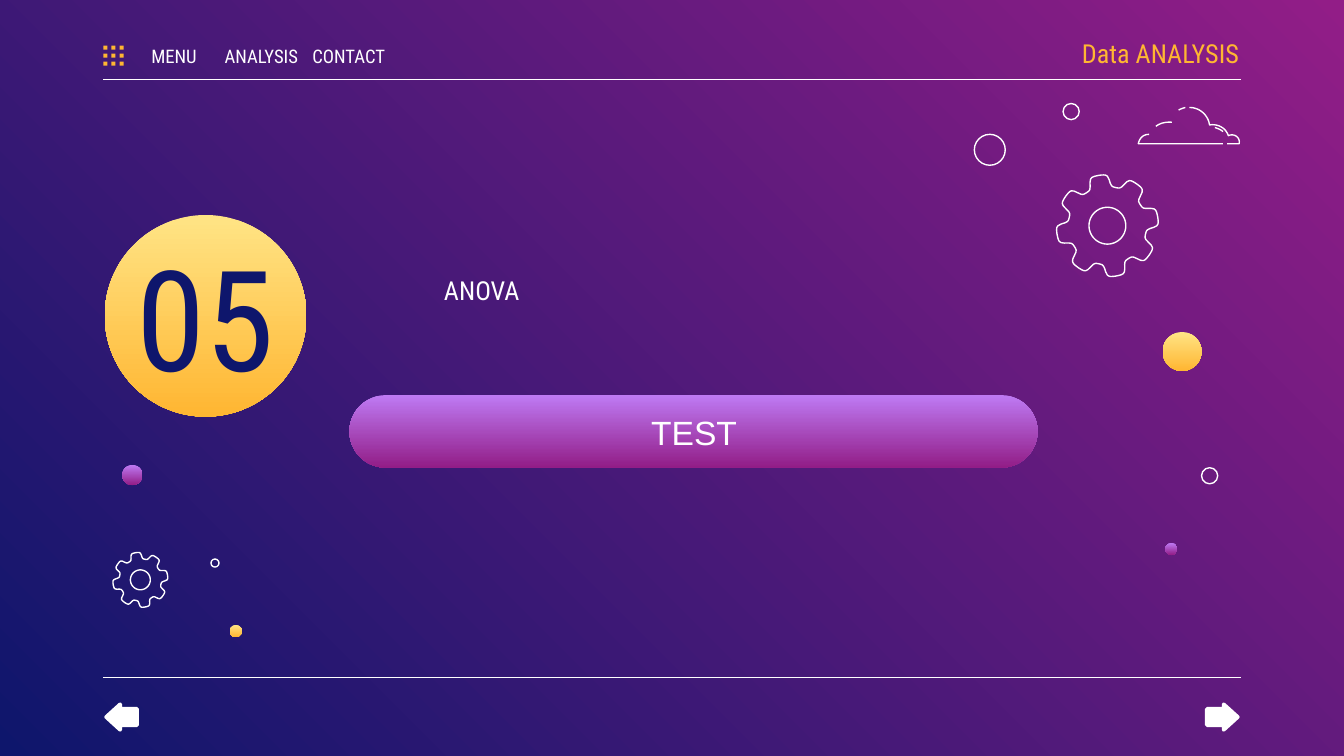
import math

from lxml import etree
from pptx import Presentation
from pptx import util as u
from pptx.dml.color import RGBColor
from pptx.enum import shapes, text
from pptx.oxml.ns import qn

COLORS = {
    "white": "FFFFFF", "navy": "0E166C", "magenta": "921D87",
    "lilac": "BE7AF3", "cream": "FFE485", "amber": "FFB632",
}
GOLD = ("cream", "amber")
PURPLE = ("lilac", "magenta")
FONT = "Roboto Condensed"
SHAPE = shapes.MSO_SHAPE
ALIGN = text.PP_ALIGN
MIDDLE = text.MSO_ANCHOR.MIDDLE


def rgb(name):
    return RGBColor.from_string(COLORS[name])


def gradient(fill, stops, angle):
    fill.gradient()
    fill.gradient_angle = angle
    for stop, name in zip(fill.gradient_stops, stops):
        stop.color.rgb = rgb(name)


def style(shape, fill=None, line=None, width=0.75):
    """Fill is a colour name, a pair of names for a downward gradient, or None."""
    shape.shadow.inherit = False
    if fill is None:
        shape.fill.background()
    elif isinstance(fill, tuple):
        gradient(shape.fill, fill, 270)
    else:
        shape.fill.solid()
        shape.fill.fore_color.rgb = rgb(fill)
    if line:
        shape.line.color.rgb = rgb(line)
        shape.line.width = u.Pt(width)
    else:
        shape.line.fill.background()


def add_preset(parent, kind, box, **look):
    shape = parent.shapes.add_shape(kind, *map(u.Inches, box))
    style(shape, **look)
    return shape


def add_rule(slide, x, y, width):
    rule = slide.shapes.add_connector(
        shapes.MSO_CONNECTOR.STRAIGHT, *map(u.Inches, (x, y, x + width, y)))
    rule.line.color.rgb = rgb("white")
    rule.line.width = u.Pt(0.75)
    etree.SubElement(rule.element.spPr, qn("a:effectLst"))


def add_label(slide, box, words, size, color="white", font=FONT,
              align=ALIGN.CENTER, anchor=MIDDLE, insets=(0.1, 0.1, 0.1, 0.1)):
    frame = slide.shapes.add_textbox(*map(u.Inches, box)).text_frame
    frame.word_wrap = True
    frame.vertical_anchor = anchor
    (frame.margin_left, frame.margin_top,
     frame.margin_right, frame.margin_bottom) = map(u.Inches, insets)
    paragraph = frame.paragraphs[0]
    paragraph.alignment = align
    run = paragraph.add_run()
    run.text = words
    run.font.size = u.Pt(size)
    run.font.name = font
    run.font.color.rgb = rgb(color)


def add_outline(parent, contours, close):
    """Draw contours, each a list of (x, y) in inches, as one white outline."""
    contours = [[(u.Inches(x), u.Inches(y)) for x, y in c] for c in contours]
    builder = parent.shapes.build_freeform(*contours[0][0], scale=1.0)
    for index, contour in enumerate(contours):
        if index:
            builder.move_to(*contour[0])
        builder.add_line_segments(contour[1:], close=close)
    style(builder.convert_to_shape(), line="white")


def curve(start, *controls, steps=10):
    """Points along a chain of cubic curves, three control points for each."""
    points = [start]
    for i in range(0, len(controls), 3):
        p = (points[-1], *controls[i:i + 3])
        for t in (step / steps for step in range(1, steps + 1)):
            weights = ((1 - t) ** 3, 3 * t * (1 - t) ** 2, 3 * t * t * (1 - t), t ** 3)
            points.append(tuple(sum(w * q[axis] for w, q in zip(weights, p))
                                for axis in (0, 1)))
    return points


def header(slide, x, y, width, height):
    # Menu icon, a grid of three by three dots
    icon = slide.shapes.add_group_shape()
    for column in range(3):
        for row in range(3):
            add_preset(icon, SHAPE.RECTANGLE,
                       (x + 0.06 * column, y + 0.11 + 0.06 * row, 0.03, 0.03),
                       fill="amber")
    # Menu entries and deck title
    for index, entry in enumerate(("MENU", "ANALYSIS", "CONTACT")):
        add_label(slide, (x + 0.24 + 0.65 * index, y + 0.07, 0.57, 0.23), entry, 10,
                  insets=(0, 0.1, 0, 0.1))
    add_label(slide, (x + width - 1.51, y, 1.5, 0.33), "Data ANALYSIS", 14, "amber",
              align=ALIGN.RIGHT, insets=(0.1, 0.1, 0, 0.1))
    add_rule(slide, x, y + height, width)


def footer(slide, x, y, width):
    add_rule(slide, x, y, width)
    # Back and forward arrows
    for kind, left in ((SHAPE.LEFT_ARROW, x + 0.02),
                       (SHAPE.RIGHT_ARROW, x + width - 0.25)):
        arrow = add_preset(slide, kind, (left, y + 0.2, 0.23, 0.19),
                           fill="white", line="white", width=2)
        arrow.adjustments[0] = 0.64
        arrow.adjustments[1] = 0.55


def section(slide, x, y):
    # Pill, numbered disc, then their text
    pill = add_preset(slide, SHAPE.ROUNDED_RECTANGLE,
                      (x + 1.82, y + 1.34, 5.12, 0.54), fill=PURPLE)
    pill.adjustments[0] = 0.5
    add_preset(slide, SHAPE.OVAL, (x, y, 1.5, 1.5), fill=GOLD)
    add_label(slide, (x + 1.88, y + 1.45, 5.01, 0.33), "TEST", 18, font="Arial")
    add_label(slide, (x, y + 0.33, 1.5, 0.83), "05", 75, "navy")
    add_label(slide, (x + 1.88, y + 0.39, 1.85, 0.71), "ANOVA", 14,
              anchor=text.MSO_ANCHOR.TOP, insets=(0.1, 0.05, 0.1, 0.05))


def gear(slide, x, y, size):
    """Eight rounded teeth around a hole, centred in a square box."""
    radius = size / 2

    def ring(radius_at):
        angles = [math.radians(2 * step) for step in range(180)]
        return [(x + radius + radius_at(a) * math.cos(a),
                 y + radius + radius_at(a) * math.sin(a)) for a in angles]

    def tooth(angle):
        wave = math.cos(8 * (angle + math.radians(10)))
        return radius * (0.88 + 0.12 * math.tanh(2.5 * (wave + 0.2)))

    add_outline(slide, [ring(tooth), ring(lambda angle: 0.36 * radius)], close=True)


def cloud(slide, x, y):
    group = slide.shapes.add_group_shape()
    strokes = (
        curve((0.38, 0), (0.46, 0), (0.52, 0.06), (0.53, 0.13),
              (0.59, 0.12), (0.65, 0.15), (0.67, 0.21),
              (0.71, 0.19), (0.76, 0.22), (0.75, 0.27)) + [(0.66, 0.27)],
        curve((0.35, 0), (0.35, 0), (0.31, 0.01), (0.3, 0.02)),
        [(0.63, 0.27)] + curve((0, 0.27), (0, 0.27), (0.01, 0.2), (0.08, 0.2)),
        curve((0.57, 0.15), (0.57, 0.15), (0.61, 0.16), (0.63, 0.18)),
        curve((0.25, 0.11), (0.25, 0.11), (0.18, 0.1), (0.13, 0.14)),
    )
    for stroke in strokes:
        add_outline(group, [[(x + dx, y + dy) for dx, dy in stroke]], close=False)


def decoration(slide):
    # Bubbles: left, top, diameter, look
    ring = {"line": "white"}
    gold, purple = {"fill": GOLD}, {"fill": PURPLE}
    for left, top, size, look in (
            (7.91, 0.77, 0.12, ring), (8.65, 2.47, 0.29, gold),
            (0.91, 3.46, 0.15, purple), (1.71, 4.65, 0.09, gold),
            (8.94, 3.48, 0.12, ring), (7.25, 1, 0.23, ring),
            (1.57, 4.16, 0.06, ring), (8.67, 4.04, 0.09, purple)):
        add_preset(slide, SHAPE.OVAL, (left, top, size, size), **look)
    cloud(slide, 8.47, 0.8)
    gear(slide, 7.86, 1.3, 0.76)
    gear(slide, 0.84, 4.11, 0.41)


def main():
    deck = Presentation()
    # Widescreen, 16 by 9
    deck.slide_width = u.Inches(10)
    deck.slide_height = deck.slide_width * 9 // 16
    slide = deck.slides.add_slide(deck.slide_layouts[6])
    gradient(slide.background.fill, ("magenta", "navy"), 225)
    header(slide, 0.77, 0.23, 8.46, 0.36)
    footer(slide, 0.77, 5.04, 8.46)
    section(slide, 0.78, 1.6)
    decoration(slide)
    deck.save("out.pptx")


if __name__ == "__main__":
    main()
